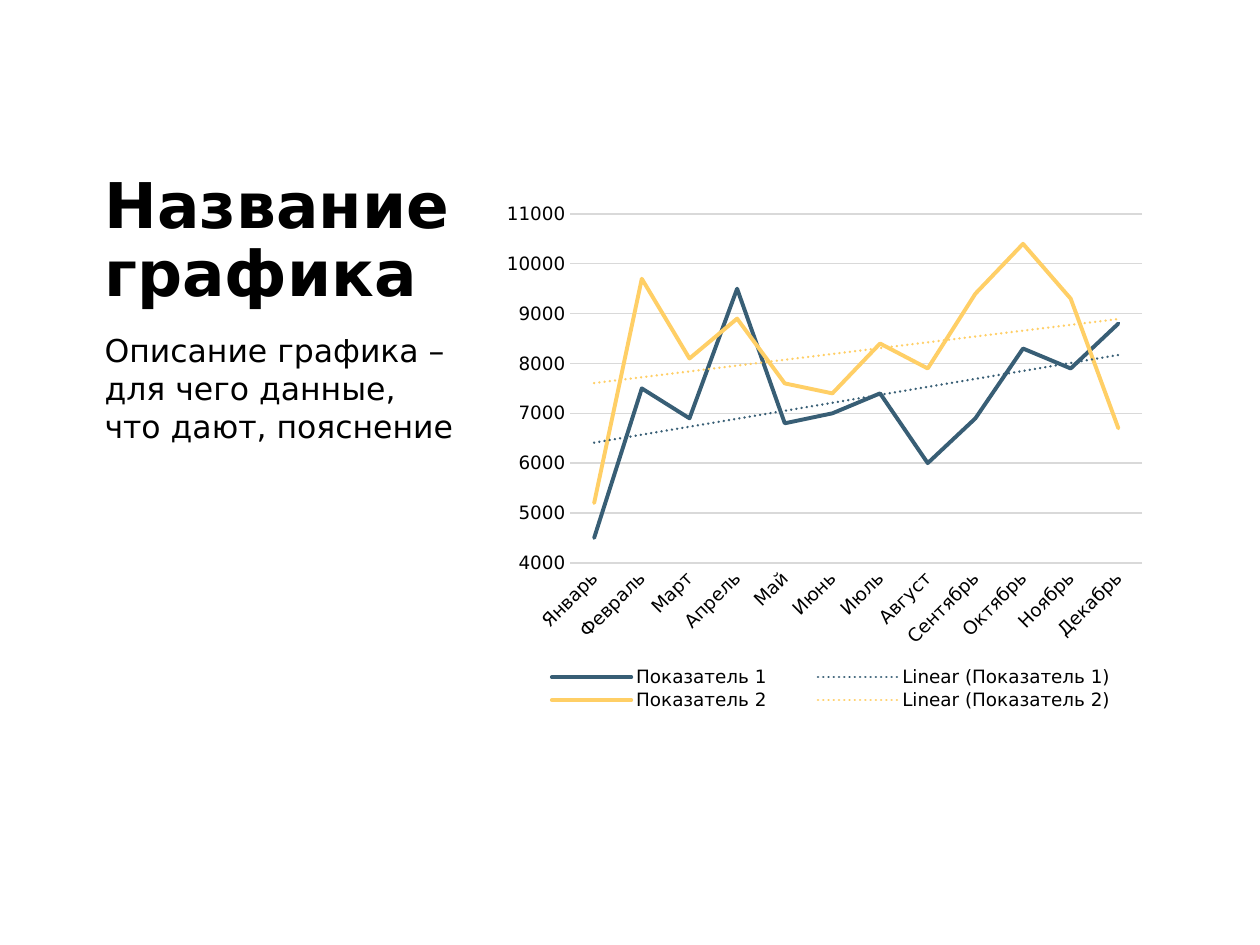
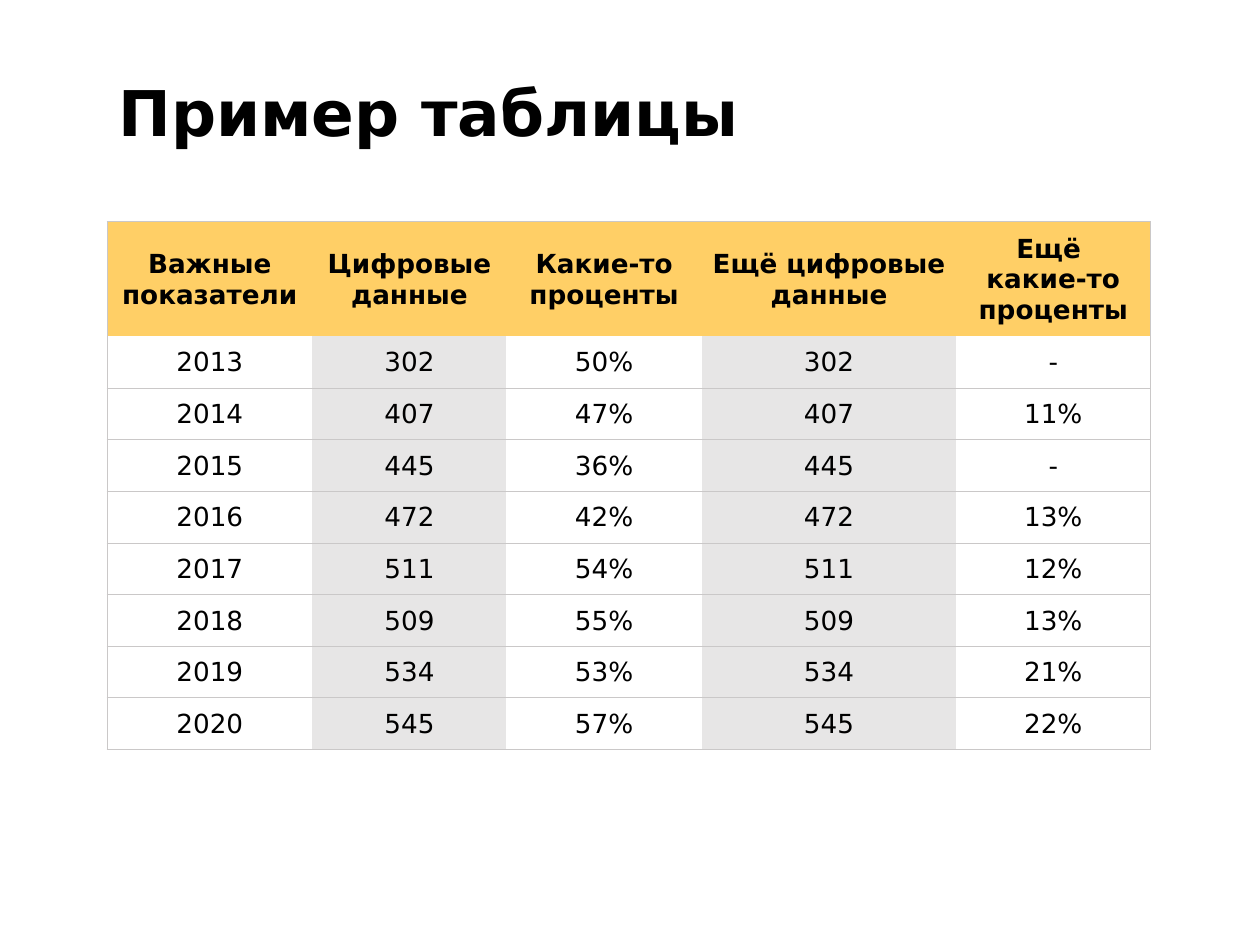
import dataclasses

import pptx
import pptx.chart.data
import pptx.dml.color
import pptx.enum.chart
import pptx.enum.text
import pptx.oxml
import pptx.oxml.ns
import pptx.util

Inches = pptx.util.Inches
Pt = pptx.util.Pt
qn = pptx.oxml.ns.qn


@dataclasses.dataclass(frozen=True)
class Theme:
    font: str = "DejaVu Sans"
    text: str = "000000"
    blue: str = "385E75"
    yellow: str = "FFCF66"
    white: str = "FFFFFF"
    grey: str = "E7E6E6"
    grid: str = "D9D9D9"
    border: str = "CAC8C8"
    title_size: float = 36
    body_size: float = 18
    table_size: float = 15
    chart_size: float = 10.5
    title_spacing: float = 0.9
    body_spacing: float = 1.0


THEME = Theme()
TITLE_ONLY = 5

MONTHS = ["Январь", "Февраль", "Март", "Апрель", "Май", "Июнь", "Июль",
          "Август", "Сентябрь", "Октябрь", "Ноябрь", "Декабрь"]
INDICATORS = [
    ("Показатель 1", THEME.blue,
     [4500, 7500, 6900, 9500, 6800, 7000, 7400, 6000, 6900, 8300, 7900, 8800]),
    ("Показатель 2", THEME.yellow,
     [5200, 9700, 8100, 8900, 7600, 7400, 8400, 7900, 9400, 10400, 9300, 6700]),
]
HEADINGS = ["Важные показатели", "Цифровые\nданные", "Какие-то\nпроценты",
            "Ещё цифровые\nданные", "Ещё \nкакие-то\nпроценты"]
YEARS = [
    ("2013", "302", "50%", "-"),
    ("2014", "407", "47%", "11%"),
    ("2015", "445", "36%", "-"),
    ("2016", "472", "42%", "13%"),
    ("2017", "511", "54%", "12%"),
    ("2018", "509", "55%", "13%"),
    ("2019", "534", "53%", "21%"),
    ("2020", "545", "57%", "22%"),
]


# Text helpers
def rgb(color):
    return pptx.dml.color.RGBColor.from_string(color)


def style_font(font, size, bold=False):
    font.name = THEME.font
    font.size = Pt(size)
    font.bold = bold
    font.color.rgb = rgb(THEME.text)


def write(paragraph, text, size, bold=False):
    for index, line in enumerate(text.split("\n")):
        if index:
            paragraph.add_line_break()
        run = paragraph.add_run()
        run.text = line
        style_font(run.font, size, bold)


def prepare_frame(frame, inset):
    frame.word_wrap = True
    frame.auto_size = pptx.enum.text.MSO_AUTO_SIZE.NONE
    frame.vertical_anchor = pptx.enum.text.MSO_ANCHOR.TOP
    frame.margin_left = frame.margin_right = Inches(inset)
    frame.margin_top = frame.margin_bottom = Inches(inset / 2)


def set_title(slide, text, left, top, width, height, inset):
    title = slide.shapes.title
    title.left, title.top = Inches(left), Inches(top)
    title.width, title.height = Inches(width), Inches(height)
    prepare_frame(title.text_frame, inset)
    paragraph = title.text_frame.paragraphs[0]
    paragraph.alignment = pptx.enum.text.PP_ALIGN.LEFT
    paragraph.line_spacing = THEME.title_spacing
    write(paragraph, text, THEME.title_size, bold=True)


def add_description(slide, lines, left, top, width, height):
    box = slide.shapes.add_textbox(
        Inches(left), Inches(top), Inches(width), Inches(height))
    frame = box.text_frame
    prepare_frame(frame, 0)
    for index, line in enumerate(lines):
        paragraph = frame.add_paragraph() if index else frame.paragraphs[0]
        paragraph.line_spacing = THEME.body_spacing
        write(paragraph, line, THEME.body_size)


# Chart helpers
def add_trend(series, color):
    trend = pptx.oxml.parse_xml(
        f'<c:trendline {pptx.oxml.ns.nsdecls("c", "a")}>'
        f'<c:spPr><a:ln w="{Pt(1.5)}" cap="rnd"><a:solidFill>'
        f'<a:srgbClr val="{color}"/></a:solidFill><a:prstDash val="sysDot"/>'
        '</a:ln></c:spPr><c:trendlineType val="linear"/>'
        '<c:dispRSqr val="0"/><c:dispEq val="0"/></c:trendline>')
    series._element.find(qn("c:cat")).addprevious(trend)


def manual_layout(x, y, width, height, target=""):
    places = "".join(
        f'<c:{tag} val="{value}"/>'
        for tag, value in zip("xywh", (x, y, width, height)))
    return pptx.oxml.parse_xml(
        f'<c:layout {pptx.oxml.ns.nsdecls("c")}><c:manualLayout>{target}'
        f'<c:xMode val="edge"/><c:yMode val="edge"/>{places}'
        '</c:manualLayout></c:layout>')


def drop_layout(part):
    old_layout = part.find(qn("c:layout"))
    if old_layout is not None:
        part.remove(old_layout)


def place_plot_and_legend(chart):
    plot_area = chart._chartSpace.chart.plotArea
    drop_layout(plot_area)
    plot_area.insert(0, manual_layout(
        0.107, 0.04, 0.873, 0.658, '<c:layoutTarget val="inner"/>'))
    legend = chart.legend._element
    drop_layout(legend)
    legend.find(qn("c:legendPos")).addnext(manual_layout(0.01, 0.89, 0.99, 0.09))


def style_axes(chart):
    months, values = chart.category_axis, chart.value_axis
    for axis in (months, values):
        axis.major_tick_mark = pptx.enum.chart.XL_TICK_MARK.NONE
        axis.minor_tick_mark = pptx.enum.chart.XL_TICK_MARK.NONE
        style_font(axis.tick_labels.font, THEME.chart_size)
    values.minimum_scale, values.maximum_scale = 4000, 11000
    values.major_unit = 1000
    values.tick_labels.number_format = "0"
    values.tick_labels.number_format_is_linked = False
    values.format.line.fill.background()
    values.has_major_gridlines = True
    for line in (months.format.line, values.major_gridlines.format.line):
        line.color.rgb = rgb(THEME.grid)
        line.width = Pt(0.75)
    # Month names slant upwards
    months._element.find(qn("c:txPr")).find(qn("a:bodyPr")).set("rot", "-2700000")


def add_indicator_chart(slide, left, top, width, height):
    data = pptx.chart.data.CategoryChartData(number_format="0")
    data.categories = MONTHS
    for name, _, values in INDICATORS:
        data.add_series(name, values)
    chart = slide.shapes.add_chart(
        pptx.enum.chart.XL_CHART_TYPE.LINE, Inches(left), Inches(top),
        Inches(width), Inches(height), data).chart
    style_font(chart.font, THEME.chart_size)
    chart.has_title = False
    chart.has_legend = True
    chart.legend.position = pptx.enum.chart.XL_LEGEND_POSITION.BOTTOM
    chart.legend.include_in_layout = False
    style_font(chart.legend.font, THEME.chart_size)
    chart.plots[0].vary_by_categories = False
    for series, (_, color, _) in zip(chart.plots[0].series, INDICATORS):
        series.smooth = False
        series.marker.style = pptx.enum.chart.XL_MARKER_STYLE.NONE
        series.format.line.color.rgb = rgb(color)
        series.format.line.width = Pt(2.25)
        series._element.find(qn("c:spPr")).find(qn("a:ln")).set("cap", "rnd")
        add_trend(series, color)
    style_axes(chart)
    place_plot_and_legend(chart)


# Table helpers
def set_borders(cell, visible_sides):
    properties = cell._tc.get_or_add_tcPr()
    for index, side in enumerate("LRTB"):
        fill = "<a:noFill/>"
        if side in visible_sides:
            fill = (f'<a:solidFill><a:srgbClr val="{THEME.border}"/>'
                    '</a:solidFill>')
        properties.insert(index, pptx.oxml.parse_xml(
            f'<a:ln{side} {pptx.oxml.ns.nsdecls("a")} w="{Pt(0.5)}">'
            f'{fill}</a:ln{side}>'))


def fill_cell(cell, text, color, bold):
    cell.fill.solid()
    cell.fill.fore_color.rgb = rgb(color)
    cell.vertical_anchor = pptx.enum.text.MSO_ANCHOR.MIDDLE
    cell.margin_left = cell.margin_right = cell.margin_top = Inches(0.01)
    cell.margin_bottom = 0
    paragraph = cell.text_frame.paragraphs[0]
    paragraph.alignment = pptx.enum.text.PP_ALIGN.CENTER
    write(paragraph, text, THEME.table_size, bold)


def add_year_table(slide, left, top, widths, header_height, row_height):
    # The second figure column repeats the first
    rows = [HEADINGS] + [(year, figure, share, figure, other)
                         for year, figure, share, other in YEARS]
    table = slide.shapes.add_table(
        len(rows), len(widths), Inches(left), Inches(top),
        Inches(sum(widths)),
        Inches(header_height + row_height * len(YEARS))).table
    table.horz_banding = False
    for column, width in zip(table.columns, widths):
        column.width = Inches(width)
    for r, texts in enumerate(rows):
        is_header = r == 0
        table.rows[r].height = Inches(header_height if is_header else row_height)
        for c, text in enumerate(texts):
            cell = table.cell(r, c)
            stripe = THEME.grey if c % 2 else THEME.white
            fill_cell(cell, text, THEME.yellow if is_header else stripe, is_header)
            # Outer frame and row lines, none directly under the header
            sides = ("L" if c == 0 else "") + ("R" if c == len(widths) - 1 else "")
            sides += ("T" if r != 1 else "") + ("" if is_header else "B")
            set_borders(cell, sides)


# Slides
def build_chart_slide(deck):
    slide = deck.slides.add_slide(deck.slide_layouts[TITLE_ONLY])
    set_title(slide, "Название графика", 0.83, 1.38, 3.15, 1.15, inset=0)
    add_description(
        slide, ["Описание графика – для чего данные,", "что дают, пояснение"],
        0.83, 2.63, 3.15, 3.83)
    add_indicator_chart(slide, 3.97, 1.53, 5.2, 4.21)


def build_table_slide(deck):
    slide = deck.slides.add_slide(deck.slide_layouts[TITLE_ONLY])
    set_title(slide, "Пример таблицы", 0.84, 0.6, 8.27, 1.07, inset=0.1)
    add_year_table(slide, 0.85, 1.76, [1.63, 1.54, 1.55, 2.02, 1.54], 0.91, 0.41)


def main():
    deck = pptx.Presentation()
    deck.slide_width, deck.slide_height = Inches(10), Inches(7.5)
    build_chart_slide(deck)
    build_table_slide(deck)
    deck.save("out.pptx")


if __name__ == "__main__":
    main()
